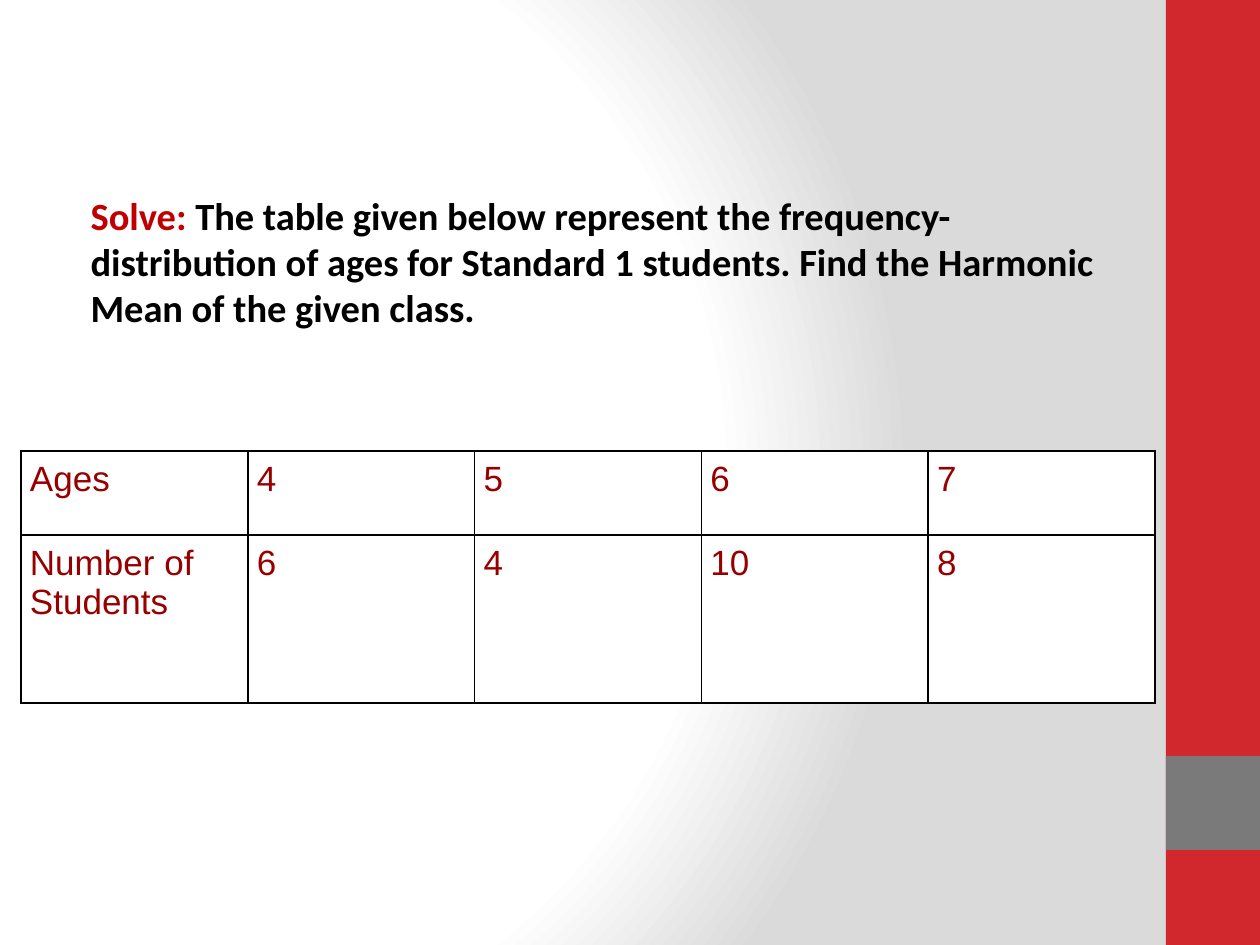
from pptx import Presentation
from pptx.dml.color import RGBColor
from pptx.enum.shapes import MSO_SHAPE
from pptx.enum.text import MSO_ANCHOR, MSO_AUTO_SIZE, PP_ALIGN
from pptx.oxml import parse_xml
from pptx.oxml.ns import nsdecls, qn
from pptx.util import Emu, Pt

RECTANGLE = MSO_SHAPE.RECTANGLE
TOP = MSO_ANCHOR.TOP
NO_AUTOFIT = MSO_AUTO_SIZE.NONE
LEFT = PP_ALIGN.LEFT

PX_PER_INCH = 126
COLORS = {
    "paper": "FFFFFF",
    "shade": "DADADA",
    "band": "D1282E",
    "accent": "7A7A7A",
    "prompt": "C00000",
    "ink": "000000",
    "entry": "980000",
}
QUESTION_FONT = {"name": "Calibri", "size": Pt(22), "bold": True}
ENTRY_FONT = {"name": "Arial", "size": Pt(20), "bold": False}
FREQUENCIES = [
    ["Ages", "4", "5", "6", "7"],
    ["Number of Students", "6", "4", "10", "8"],
]
ROW_SHARES = [1, 2]


def px(length):
    return Emu(round(length * 914400 / PX_PER_INCH))


def color(name):
    return RGBColor.from_string(COLORS[name])


def set_attributes(target, values):
    for name, value in values.items():
        setattr(target, name, value)


def add_span(para, text, font, color_name):
    span = para.add_run()
    span.text = text
    set_attributes(span.font, font)
    span.font.color.rgb = color(color_name)


def shade_background(page):
    """Fill the page with a radial gradient, light on the left."""
    page.background.fill.solid()
    solid = page.element.find(".//" + qn("p:bgPr")).find(qn("a:solidFill"))
    stops = "".join(
        f'<a:gs pos="{percent * 1000}"><a:srgbClr val="{COLORS[name]}"/></a:gs>'
        for percent, name in [(0, "paper"), (75, "paper"), (100, "shade")]
    )
    gradient = parse_xml(
        f'<a:gradFill {nsdecls("a")} rotWithShape="1"><a:gsLst>{stops}</a:gsLst>'
        '<a:path path="circle"><a:fillToRect l="20000" t="50000" r="100000" b="50000"/>'
        "</a:path></a:gradFill>"
    )
    solid.getparent().replace(solid, gradient)


def add_side_band(page, left, top, width, height):
    """Add the full-height band with a square accent near its foot."""
    accent_top = top + height * 4 // 5
    for name, block_top, block_height in [
        ("band", top, height),
        ("accent", accent_top, width),
    ]:
        block = page.shapes.add_shape(
            RECTANGLE, px(left), px(block_top), px(width), px(block_height)
        )
        block.shadow.inherit = False
        block.fill.solid()
        block.fill.fore_color.rgb = color(name)
        block.line.fill.background()


def add_question(page, left, top, width, height):
    box = page.placeholders[1]
    set_attributes(box, {"left": px(left), "top": px(top),
                         "width": px(width), "height": px(height)})
    frame = box.text_frame
    set_attributes(frame, {"word_wrap": True, "auto_size": NO_AUTOFIT,
                           "vertical_anchor": TOP, "margin_top": px(171)})
    para = frame.paragraphs[0]
    set_attributes(para, {"alignment": LEFT, "space_before": Pt(0)})
    properties = para._p.get_or_add_pPr()
    properties.set("marL", str(px(15)))
    properties.set("indent", "0")
    properties.append(parse_xml(f'<a:buNone {nsdecls("a")}/>'))
    add_span(para, "Solve: ", QUESTION_FONT, "prompt")
    add_span(
        para,
        "The table given below represent the frequency-distribution of ages "
        "for Standard 1 students. Find the Harmonic Mean of the given class.",
        QUESTION_FONT,
        "ink",
    )


def add_borders(cell):
    properties = cell._tc.get_or_add_tcPr()
    for position, side in enumerate(["lnL", "lnR", "lnT", "lnB"]):
        border = parse_xml(
            f'<a:{side} {nsdecls("a")} w="{Pt(1)}"><a:solidFill>'
            f'<a:srgbClr val="{COLORS["ink"]}"/></a:solidFill></a:{side}>'
        )
        properties.insert(position, border)


def format_cell(cell, text):
    margins = ["margin_left", "margin_right", "margin_top", "margin_bottom"]
    set_attributes(cell, dict.fromkeys(margins, px(9)))
    cell.fill.solid()
    cell.fill.fore_color.rgb = color("paper")
    add_borders(cell)
    add_span(cell.text_frame.paragraphs[0], text, ENTRY_FONT, "entry")


def add_frequency_table(page, left, top, width, height):
    column_count = len(FREQUENCIES[0])
    table = page.shapes.add_table(
        len(FREQUENCIES), column_count, px(left), px(top), px(width), px(height)
    ).table
    set_attributes(table, {"first_row": False, "horz_banding": False})
    for column in table.columns:
        column.width = px(width / column_count)
    for row, share, texts in zip(table.rows, ROW_SHARES, FREQUENCIES):
        row.height = px(height * share / sum(ROW_SHARES))
        for cell, text in zip(row.cells, texts):
            format_cell(cell, text)


def main():
    deck = Presentation()
    deck.slide_width, deck.slide_height = px(1260), px(945)
    page = deck.slides.add_slide(deck.slide_layouts[1])
    title = page.shapes.title.element
    title.getparent().remove(title)
    shade_background(page)
    add_side_band(page, 1166, 0, 94, 945)
    add_question(page, 63, 21, 1050, 861)
    add_frequency_table(page, 21, 451, 1134, 252)
    deck.save("out.pptx")


if __name__ == "__main__":
    main()
